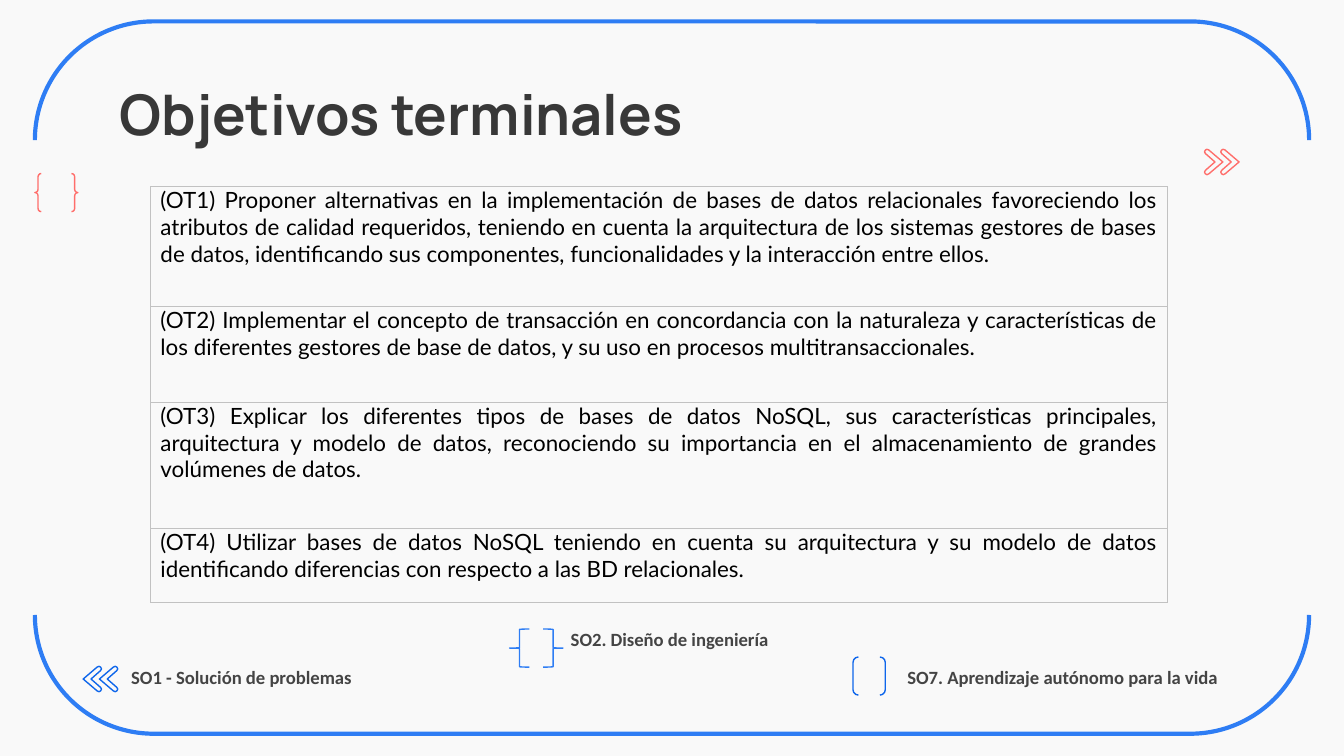
from lxml import etree
from pptx import Presentation
from pptx.dml.color import RGBColor
from pptx.enum.shapes import MSO_SHAPE
from pptx.enum.text import MSO_ANCHOR, PP_ALIGN
from pptx.oxml.ns import qn
from pptx.util import Pt

PAIR, CURLY, BRACE = MSO_SHAPE.DOUBLE_BRACKET, MSO_SHAPE.DOUBLE_BRACE, MSO_SHAPE.LEFT_BRACE
LEFT, EVEN = PP_ALIGN.LEFT, PP_ALIGN.JUSTIFY
TOP = MSO_ANCHOR.TOP

COLORS = {
    "back": "F9F9F9", "title": "383838", "text": "000000", "label": "444444",
    "frame": "2E7DF4", "blue": "0E66EB", "coral": "FF6E6B", "grid": "C2C2C2",
}

TITLE = "Objetivos terminales"
GOALS = [
    ("(OT1) Proponer alternativas en la implementación de bases de datos relacionales "
     "favoreciendo los atributos de calidad requeridos, teniendo en cuenta la arquitectura "
     "de los sistemas gestores de bases de datos, identificando sus componentes, "
     "funcionalidades y la interacción entre ellos.", 64),
    ("(OT2) Implementar el concepto de transacción en concordancia con la naturaleza y "
     "características de los diferentes gestores de base de datos, y su uso en procesos "
     "multitransaccionales.", 51.4),
    ("(OT3) Explicar los diferentes tipos de bases de datos NoSQL, sus características "
     "principales, arquitectura y modelo de datos, reconociendo su importancia en el "
     "almacenamiento de grandes volúmenes de datos.", 67.5),
    ("(OT4) Utilizar bases de datos NoSQL teniendo en cuenta su arquitectura y su modelo "
     "de datos identificando diferencias con respecto a las BD relacionales.", 39.6),
]
LABELS = [
    ("SO1 - Solución de problemas", 63.2, 350.5, 139),
    ("SO2. Diseño de ingeniería", 298.7, 330.5, 130.5),
    ("SO7. Aprendizaje autónomo para la vida", 479, 350.5, 211),
]
MARKS = [
    (PAIR, 169.2, -139, 381.6, 682.6, 90, "frame", 2.25, None),
    (PAIR, 457, 352, 17.3, 20.4, 0, "blue", 0.75, None),
    (CURLY, 18.7, 93, 23, 20.4, 0, "coral", 0.75, None),
    (BRACE, 273, 337, 10.6, 20.4, 0, "frame", 0.75, 0.022),
    (BRACE, 291, 337, 10.6, 20.4, 180, "frame", 0.75, 0.022),
]
ARROWS = [(44.6, 357, -1, "blue"), (645.3, 80, 1, "coral")]
HALF = [(5.6, 6.8), (0.5, 2.3), (0, 1.4), (0.4, 0.5), (1.3, 0), (2.3, 0.4), (9.8, 6.8)]
WIDE, TALL, STEP = 9.8, 13.6, 8.7


def paint(color):
    return RGBColor.from_string(COLORS[color])


def write(frame, text, font="Calibri", size=10, color="label", bold=False, align=LEFT):
    frame.word_wrap = True
    para = frame.paragraphs[0]
    para.alignment = align
    para.line_spacing = 1.0
    run = para.add_run()
    run.text = text
    run.font.name, run.font.size, run.font.bold = font, Pt(size), bold
    run.font.color.rgb = paint(color)


def inset(frame, gap):
    frame.margin_left = frame.margin_right = Pt(gap)
    frame.margin_top = frame.margin_bottom = Pt(gap)


def trim(shape, color, width):
    shape.shadow.inherit = False
    shape.line.color.rgb = paint(color)
    shape.line.width = Pt(width)


def arrow(slide, left, top, way, color):
    low = [(x, TALL - y) for x, y in HALF[-2:0:-1]]
    spots = [(Pt(left + (x if way > 0 else WIDE - x)), Pt(top + y)) for x, y in HALF + low]
    pen = slide.shapes.build_freeform(*spots[0], scale=1.0)
    pen.add_line_segments(spots[1:], close=True)
    shape = pen.convert_to_shape()
    shape.fill.solid()
    shape.fill.fore_color.rgb = paint("back")
    trim(shape, color, 0.75)


def border(cell):
    props = cell._tc.get_or_add_tcPr()
    for place, side in enumerate(("lnL", "lnR", "lnT", "lnB")):
        edge = etree.Element(qn("a:" + side), w=str(Pt(0.5)))
        fill = etree.SubElement(edge, qn("a:solidFill"))
        etree.SubElement(fill, qn("a:srgbClr"), val=COLORS["grid"])
        props.insert(place, edge)


def build():
    deck = Presentation()
    deck.slide_width, deck.slide_height = Pt(720), Pt(405)
    slide = deck.slides.add_slide(deck.slide_layouts[5])
    slide.background.fill.solid()
    slide.background.fill.fore_color.rgb = paint("back")

    for kind, left, top, width, height, turn, color, line, bend in MARKS:
        mark = slide.shapes.add_shape(kind, Pt(left), Pt(top), Pt(width), Pt(height))
        mark.rotation = turn
        mark.fill.background()
        trim(mark, color, line)
        if bend:
            mark.adjustments[0] = bend

    title = slide.shapes.title
    title.left, title.top, title.width, title.height = Pt(56.9), Pt(35.3), Pt(607), Pt(45.4)
    title.text_frame.vertical_anchor = TOP
    inset(title.text_frame, 7.2)
    write(title.text_frame, TITLE, font="Manrope", size=30, color="title", bold=True)

    for left, top, way, color in ARROWS:
        for count in range(2):
            arrow(slide, left + count * STEP, top, way, color)

    total = sum(height for _, height in GOALS)
    table = slide.shapes.add_table(len(GOALS), 1, Pt(80.6), Pt(100), Pt(545), Pt(total)).table
    table.first_row = table.horz_banding = False
    for row, (text, height) in zip(table.rows, GOALS):
        row.height = Pt(height)
        cell = row.cells[0]
        cell.margin_left = cell.margin_right = Pt(5.4)
        cell.margin_top = cell.margin_bottom = 0
        cell.fill.background()
        border(cell)
        write(cell.text_frame, text, font="Lato", size=12, color="text", align=EVEN)

    for text, left, top, width in LABELS:
        box = slide.shapes.add_textbox(Pt(left), Pt(top), Pt(width), Pt(26.6))
        inset(box.text_frame, 7.2)
        write(box.text_frame, text, bold=True)

    deck.save("out.pptx")


if __name__ == "__main__":
    build()
